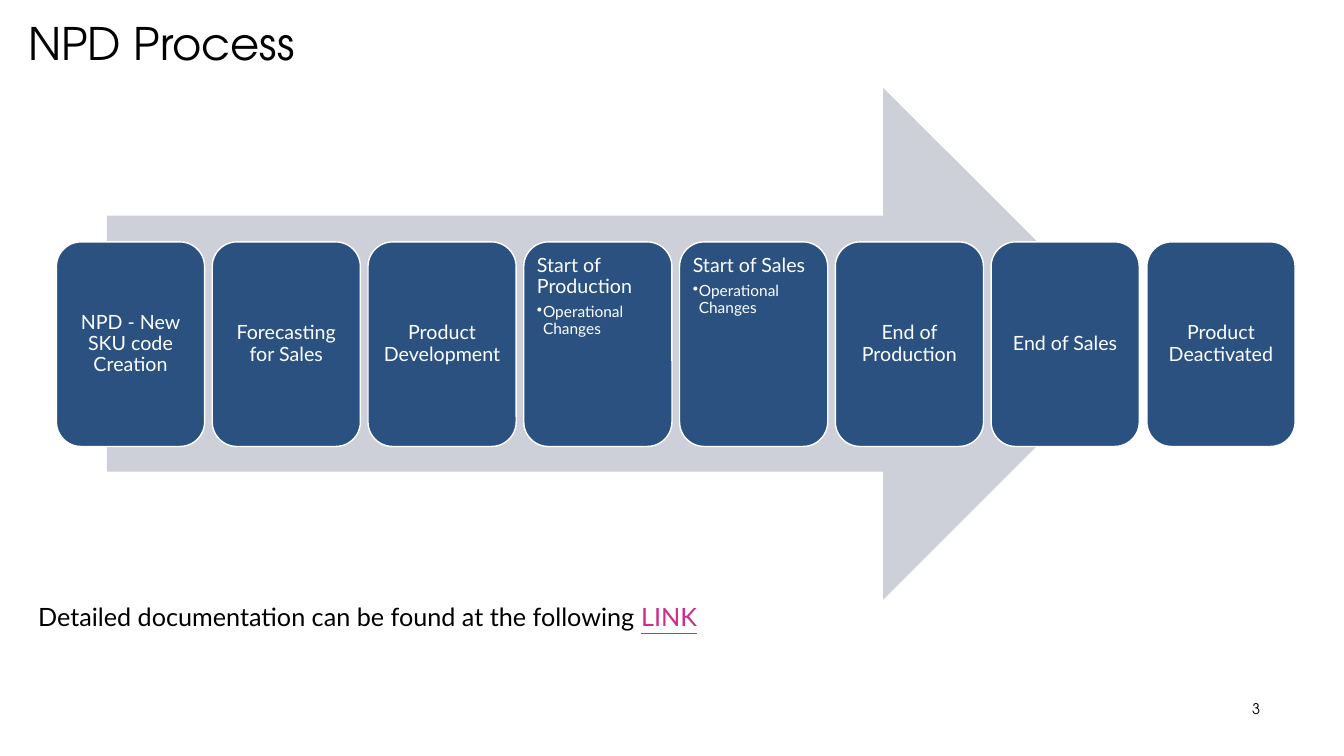
from lxml import etree
from pptx import Presentation
from pptx.dml.color import RGBColor
from pptx.enum.shapes import MSO_SHAPE as SHAPE
from pptx.enum.text import MSO_ANCHOR as ANCHOR, PP_ALIGN as ALIGN
from pptx.oxml.ns import qn
from pptx.util import Inches, Pt

HEAD_FONT, BODY_FONT = "TeX Gyre Adventor", "Lato"
BLACK, WHITE, NAVY, GREY, PINK = "000000", "FFFFFF", "2B5181", "CDD0D8", "CF2D86"

# Stage name and its bullet points
STAGES = [
    ("NPD - New SKU code Creation", []),
    ("Forecasting for Sales", []),
    ("Product Development", []),
    ("Start of Production", ["Operational Changes"]),
    ("Start of Sales", ["Operational Changes"]),
    ("End of Production", []),
    ("End of Sales", []),
    ("Product Deactivated", []),
]
STAGE_LEFT, STAGE_STEP = 0.56, 1.545


def rgb(color):
    return RGBColor.from_string(color)


def add_run(p, text, size, font=BODY_FONT, color=BLACK):
    r = p.add_run()
    r.text = text
    r.font.size = Pt(size)
    r.font.name = font
    r.font.color.rgb = rgb(color)
    return r


def set_frame(tf, inset, anchor):
    tf.word_wrap = True
    tf.vertical_anchor = anchor
    tf.margin_left = tf.margin_right = Inches(inset)
    tf.margin_top = tf.margin_bottom = Inches(inset)


def add_shape(s, kind, box, fill, line=None):
    sp = s.shapes.add_shape(kind, *map(Inches, box))
    sp.shadow.inherit = False
    sp.fill.solid()
    sp.fill.fore_color.rgb = rgb(fill)
    if line:
        sp.line.color.rgb = rgb(line)
        sp.line.width = Pt(1)
    else:
        sp.line.fill.background()
    return sp


def add_text(s, box):
    tf = s.shapes.add_textbox(*map(Inches, box)).text_frame
    tf.word_wrap = True
    return tf


def set_bullet(p, indent):
    pPr = p._p.get_or_add_pPr()
    pPr.set("marL", str(Inches(indent)))
    pPr.set("indent", str(-Inches(indent)))
    etree.SubElement(pPr, qn("a:buChar"), char="•")


def add_stage(s, left, name, points):
    sp = add_shape(s, SHAPE.ROUNDED_RECTANGLE, (left, 2.4, 1.47, 2.03), NAVY, WHITE)
    tf = sp.text_frame
    set_frame(tf, 0.06, ANCHOR.TOP if points else ANCHOR.MIDDLE)
    p = tf.paragraphs[0]
    p.alignment = ALIGN.LEFT if points else ALIGN.CENTER
    p.line_spacing = 0.9
    p.space_after = Pt(4.9)
    add_run(p, name, 14, color=WHITE)
    for point in points:
        p = tf.add_paragraph()
        p.level = 1
        p.alignment = ALIGN.LEFT
        p.line_spacing = 0.9
        p.space_after = Pt(1.65)
        set_bullet(p, 0.06)
        add_run(p, point, 11, color=WHITE)


def add_title(s, text):
    sp = s.shapes.title
    sp.left, sp.top, sp.width, sp.height = map(Inches, (0.28, 0.22, 9.6, 0.66))
    set_frame(sp.text_frame, 0, ANCHOR.TOP)
    p = sp.text_frame.paragraphs[0]
    p.alignment = ALIGN.LEFT
    p.line_spacing = 0.9
    add_run(p, text, 32, HEAD_FONT)


def main():
    prs = Presentation()
    prs.slide_width, prs.slide_height = Inches(13.33), Inches(7.5)
    s = prs.slides.add_slide(prs.slide_layouts[5])
    add_title(s, "NPD Process")

    # Slide number
    tf = add_text(s, (12.42, 6.94, 0.43, 0.18))
    set_frame(tf, 0, ANCHOR.MIDDLE)
    add_run(tf.paragraphs[0], "3", 10.5, HEAD_FONT)

    # Process arrow with its stages
    add_shape(s, SHAPE.RIGHT_ARROW, (1.06, 0.87, 10.24, 5.08), GREY)
    for i, (name, points) in enumerate(STAGES):
        add_stage(s, STAGE_LEFT + i * STAGE_STEP, name, points)

    # Documentation note
    p = add_text(s, (0.28, 5.92, 8.2, 0.4)).paragraphs[0]
    add_run(p, "Detailed documentation can be found at the following ", 18)
    add_run(p, "LINK", 18, color=PINK).font.underline = True

    prs.save("out.pptx")


if __name__ == "__main__":
    main()
